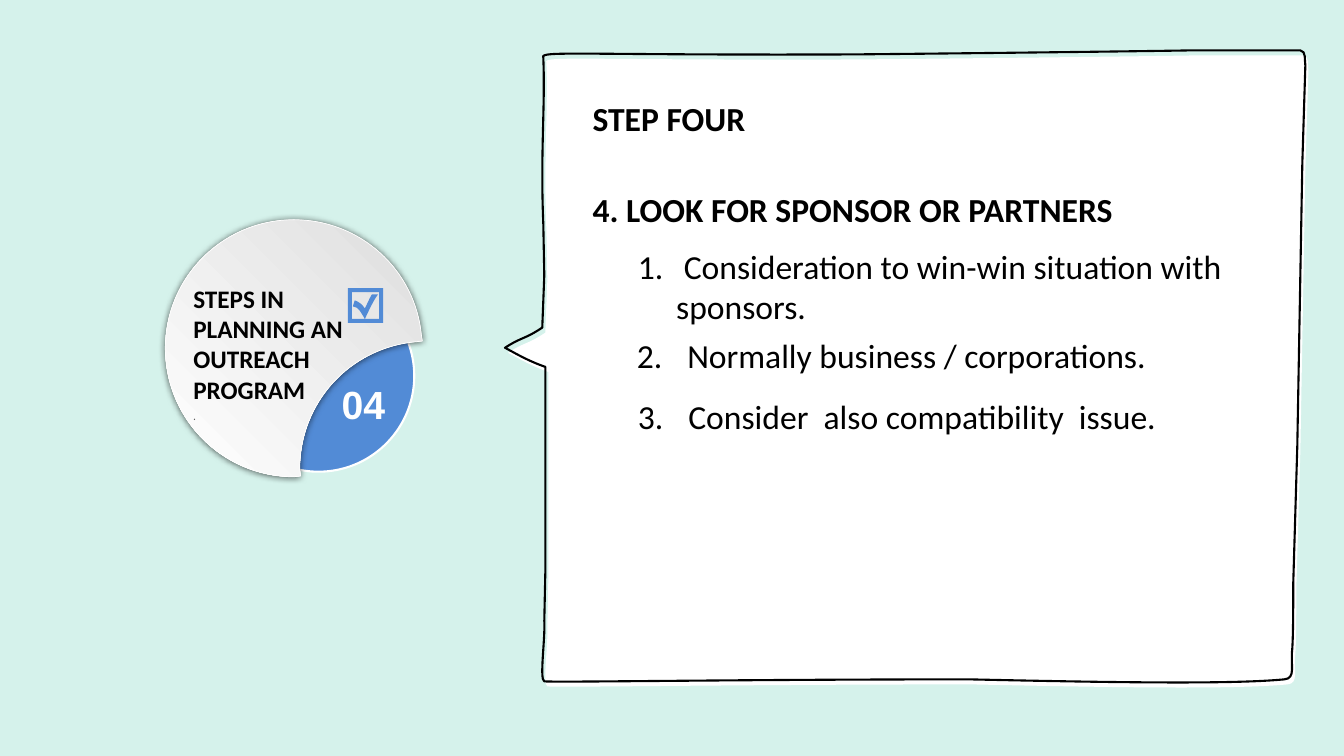
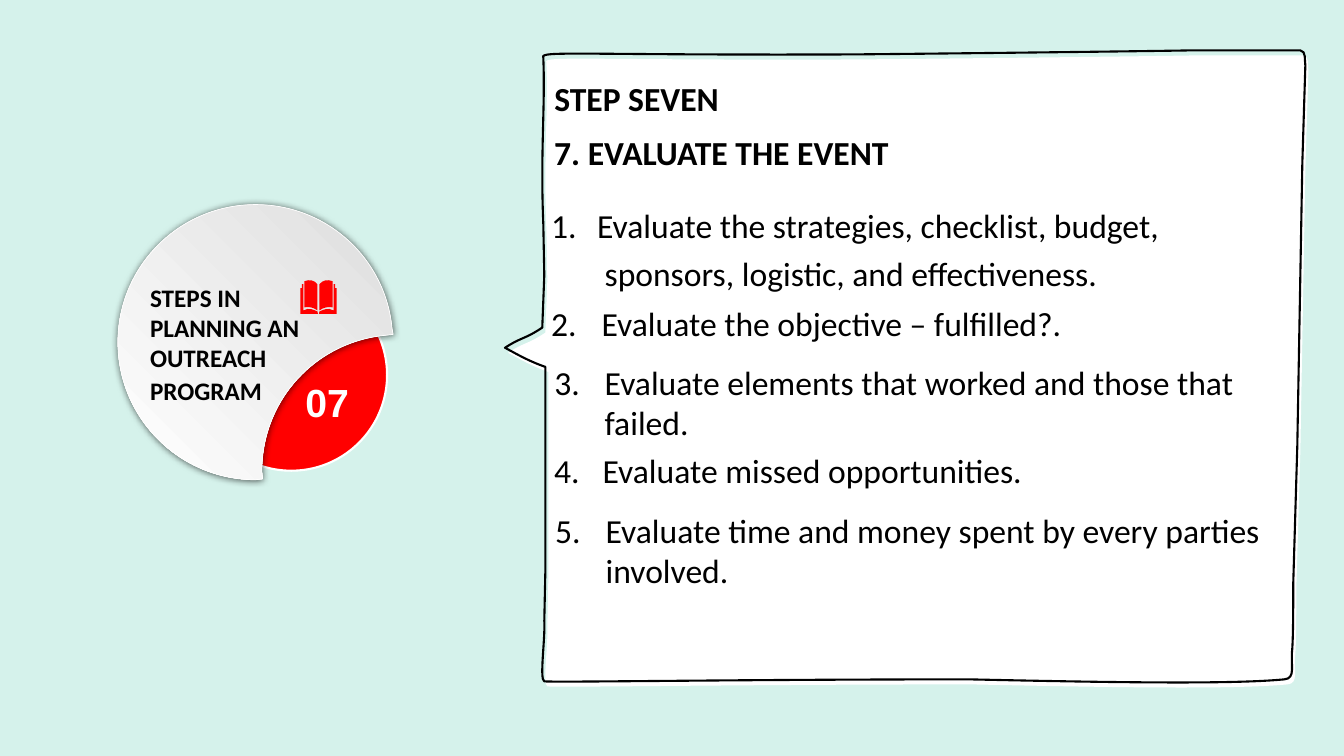
"""Builds two slides on the steps in planning an outreach program."""
from dataclasses import dataclass

from lxml.etree import SubElement
from pptx import Presentation
from pptx.dml.color import RGBColor
from pptx.enum.shapes import MSO_SHAPE
from pptx.enum.text import MSO_AUTO_SIZE, PP_ALIGN
from pptx.oxml.ns import qn
from pptx.util import Inches, Pt


@dataclass(frozen=True)
class Theme:
    """Colours, fonts and sizes."""
    back: str = "D5F2EB"
    paper: str = "FFFFFF"
    ink: str = "000000"
    muted: str = "595959"
    shade: str = "DEDEDE"
    blue: str = "528BD6"
    red: str = "FF0000"
    body_font: str = "Calibri"
    number_font: str = "Arial"
    small_font: str = "Comic Neue"
    body: int = 24
    label: int = 18
    number: int = 28
    small: int = 12
    outline: float = 1.5
    hairline: float = 0.5


CELL = Inches(0.1)
COLS, ROWS = 133.33, 75

BUBBLE = (
    "M 129.2,16.2 L 129.5,6.5 C 129.4,5.9 129.6,5.1 129,5 L 118,5 "
    "C 112.5,5.1 95.3,5.3 84.6,5.4 C 57.7,5.5 53.5,5 53.9,5.7 "
    "C 54.1,10.7 53.6,15 53.9,22.2 L 54,27.3 L 53.8,32.5 "
    "C 52,33.7 51.8,33.4 50.1,34.5 C 51.4,35.2 52.4,35.8 54.1,36.4 "
    "C 54.1,36.9 54.1,50.2 54.1,52.1 L 54.1,56.8 L 54,61.6 "
    "C 54.1,63.4 53.5,67.4 54,67.6 C 56.6,67.7 73.4,67.4 96.2,67.4 "
    "C 110,67.7 122.1,67.9 127.4,67.4 C 128.6,67.3 128,66 128.2,64.4 "
    "C 128.3,62.9 128.3,60.1 128.3,57.9 L 128.7,44.3"
)
NOTCHED_DISC = (
    "M 50,0 C 76,0 97.2,19.6 99.6,44.8 L 100,47.2 L 97.3,47.5 "
    "C 71.8,49.9 52.3,71 52.3,97 L 52.6,99.7 L 50,100 "
    "C 22.4,100 0,77.6 0,50 C 0,22.4 22.4,0 50,0"
)
CHECKBOX = (
    "M 4,4 L 4,30.5 L 17,30.5 C 14,26 11,18 5,18 L 7,12 C 12,14 14,16 17,20 "
    "C 20,14 21,11 24,6 L 30,6 C 25,13 21,22 17,30.5 L 31,30.5 L 31,4 "
    "M 0,0 L 35,0 L 35,34.5 L 0,34.5"
)
HALF_BOOK = (
    "M 4,1 C 9,-1 14,0 17,4 L 17,30 C 13,27 8,26 4,27 "
    "M 0,8 L 1.5,8 L 1.5,4 L 3,4 L 3,30 C 9,27 12,29 17,31 L 17.5,33.5 L 0,33.5"
)


def segments(outline):
    """Turns an outline into pairs of a command and its points."""
    result = []
    for token in outline.split():
        if token in "MLC":
            result.append((token, []))
        else:
            result[-1][1].append(tuple(float(n) for n in token.split(",")))
    return result


def mirrored(parts, width):
    """Adds the left-right reflection of the segments."""
    return parts + [(command, [(width - x, y) for x, y in points])
                    for command, points in parts]


class Deck:
    """Holds the theme and the current slide, and draws each kind of element."""

    def __init__(self, theme):
        self.theme = theme
        self.prs = Presentation()
        self.prs.slide_width = int(COLS * CELL)
        self.prs.slide_height = int(ROWS * CELL)
        fill = self.prs.slide_master.background.fill
        fill.solid()
        fill.fore_color.rgb = RGBColor.from_string(theme.back)
        self.slide = None

    def new_slide(self):
        """Starts a slide with the speech bubble."""
        self.slide = self.prs.slides.add_slide(self.prs.slide_layouts[6])
        bubble = segments(BUBBLE)
        self.outline(bubble, 0.3, 0.5, fill=self.theme.paper)
        self.outline(bubble, 0, 0, line=self.theme.ink, weight=self.theme.outline)

    def paint(self, sp, fill=None, line=None, weight=None):
        """Sets fill and line and removes the shadow."""
        sp.shadow.inherit = False
        if fill:
            sp.fill.solid()
            sp.fill.fore_color.rgb = RGBColor.from_string(fill)
        else:
            sp.fill.background()
        if line:
            sp.line.color.rgb = RGBColor.from_string(line)
            sp.line.width = Pt(weight)
        else:
            sp.line.fill.background()
        return sp

    def outline(self, parts, col, row, scale=1, **look):
        """Draws segments as one freeform with true curves."""
        placed = [(command, [((col + x * scale) * CELL, (row + y * scale) * CELL)
                             for x, y in points]) for command, points in parts]
        contours = []
        for command, points in placed:
            if command == "M":
                contours.append([])
            contours[-1].extend(points)
        builder = self.slide.shapes.build_freeform(*contours[0][0])
        for i, points in enumerate(contours):
            if i:
                builder.move_to(*points[0])
            builder.add_line_segments(points[1:], close=True)
        sp = builder.convert_to_shape()
        self.bend(sp, parts)
        return self.paint(sp, **look)

    def bend(self, sp, parts):
        """Joins the three points of each curve into a Bézier segment."""
        lines = iter(list(sp._element.iter(qn("a:lnTo"))))
        for command, _ in parts:
            if command == "L":
                next(lines)
            elif command == "C":
                first, second, third = (next(lines) for _ in range(3))
                curve = SubElement(first.getparent(), qn("a:cubicBezTo"))
                first.addprevious(curve)
                for line in (first, second, third):
                    curve.append(line[0])
                    line.getparent().remove(line)

    def ball(self, col, row, color):
        """Draws the coloured disc behind the number."""
        size = 19 * CELL
        sp = self.slide.shapes.add_shape(
            MSO_SHAPE.OVAL, int(col * CELL), int(row * CELL), size, size)
        self.paint(sp, color, self.theme.paper, self.theme.outline)

    def cover(self, col, row, size):
        """Draws the notched disc with its gradient and soft shadow."""
        th = self.theme
        sp = self.outline(segments(NOTCHED_DISC), col, row, size / 100,
                          line=th.paper, weight=th.hairline)
        sp.fill.gradient()
        sp.fill.gradient_angle = 225
        for stop, position, color in zip(sp.fill.gradient_stops, (0, 1), (th.shade, th.paper)):
            stop.position = position
            stop.color.rgb = RGBColor.from_string(color)
        effects = sp._element.spPr.find(qn("a:effectLst"))
        shadow = SubElement(effects, qn("a:outerShdw"), blurRad=str(Pt(5)), dist="0", dir="0")
        color = SubElement(shadow, qn("a:srgbClr"), val=th.ink)
        SubElement(color, qn("a:alpha"), val="60000")

    def box(self, col, row, cols, rows):
        """Adds a wrapping text box and returns its text frame."""
        sp = self.slide.shapes.add_textbox(
            *(int(n * CELL) for n in (col, row, cols, rows)))
        tf = sp.text_frame
        tf.word_wrap = True
        tf.auto_size = MSO_AUTO_SIZE.SHAPE_TO_FIT_TEXT
        return tf

    def run(self, p, text, size, color=None, font=None, bold=False):
        """Adds one styled run."""
        r = p.add_run()
        r.text = text
        r.font.size = Pt(size)
        r.font.name = font or self.theme.body_font
        r.font.bold = bold
        r.font.color.rgb = RGBColor.from_string(color or self.theme.ink)

    def heading(self, col, row, cols, text):
        """Adds a bold heading in the bubble."""
        p = self.box(col, row, cols, 5).paragraphs[0]
        p.space_after = Pt(6)
        self.run(p, text, self.theme.body, bold=True)

    def label(self, col, row, rows, text):
        """Adds the program label on the cover and returns its text frame."""
        tf = self.box(col, row, 19, rows)
        self.run(tf.paragraphs[0], text, self.theme.label, bold=True)
        return tf

    def number(self, col, row, text):
        """Adds the step number on the ball."""
        th = self.theme
        tf = self.box(col, row, 7.1, 5.7)
        tf.margin_left = tf.margin_right = Inches(0.12)
        p = tf.paragraphs[0]
        p.alignment = PP_ALIGN.CENTER
        self.run(p, text, th.number, th.paper, th.number_font, True)

    def step(self, col, row, cols, rows, start, text, hang=0.5, more=None):
        """Adds one numbered step, with an indented second line if given."""
        tf = self.box(col, row, cols, rows)
        p = tf.paragraphs[0]
        p.space_after = Pt(6)
        pPr = p._p.get_or_add_pPr()
        pPr.set("marL", str(Inches(hang)))
        pPr.set("indent", str(-Inches(hang)))
        SubElement(pPr, qn("a:buFont"), typeface="+mj-lt")
        SubElement(pPr, qn("a:buAutoNum"), type="arabicPeriod", startAt=str(start))
        self.run(p, text, self.theme.body)
        if more:
            p = tf.add_paragraph()
            p.space_after = Pt(6)
            p._p.get_or_add_pPr().set("marL", str(Inches(0.53)))
            self.run(p, more, self.theme.body)


def main():
    """Builds and saves the deck."""
    theme = Theme()
    deck = Deck(theme)
    program = "STEPS IN PLANNING AN OUTREACH PROGRAM"

    deck.new_slide()
    deck.heading(57.8, 9.2, 21.5, "STEP FOUR")
    deck.heading(57.8, 18.3, 61.7, "4. LOOK FOR SPONSOR OR PARTNERS")
    deck.step(62.2, 32.7, 66.4, 9.9, 2, "Normally business / corporations.")
    deck.step(62.3, 38.8, 59.8, 5, 3, "Consider  also compatibility  issue.")
    deck.step(62.3, 23.9, 70.4, 14, 1,
              " Consideration to win-win situation with sponsors.", 0.38)
    deck.ball(22.1, 27.8, theme.blue)
    deck.cover(16.4, 21.8, 25.5)
    tf = deck.label(18.2, 27.6, 15.1, program)
    deck.run(tf.add_paragraph(), ".", theme.small, theme.muted, theme.small_font)
    deck.number(32.5, 37.2, "04")
    deck.outline(segments(CHECKBOX), 34.5, 28.6, 0.1, fill=theme.blue)

    deck.new_slide()
    deck.heading(54, 7.2, 21.5, "STEP SEVEN")
    deck.heading(54, 12.6, 61.7, "7. EVALUATE THE EVENT")
    deck.step(53.7, 29.6, 66.4, 14.8, 2, "Evaluate the objective – fulfilled?.")
    deck.step(54, 35.4, 73.2, 14, 3, "Evaluate elements that worked and those that failed.")
    deck.step(53.7, 19.8, 70.4, 24.6, 1, " Evaluate the strategies, checklist, budget,", 0.38,
              "sponsors, logistic, and effectiveness.")
    deck.step(54, 44.1, 66.6, 14.8, 4, "Evaluate missed opportunities.", 0.48)
    deck.step(54.1, 50.1, 76, 18.8, 5,
              "Evaluate time and money spent by every parties involved.")
    deck.ball(19.4, 27.7, theme.red)
    deck.cover(11.7, 20.3, 27.3)
    tf = deck.label(13.9, 27.5, 13.5, program)
    deck.run(tf.paragraphs[0], " ", 20, bold=True)
    deck.number(28.9, 37, "07")
    deck.outline(mirrored(segments(HALF_BOOK), 36), 29.8, 27.8, 0.1, fill=theme.red)

    deck.prs.save("out.pptx")


if __name__ == "__main__":
    main()
